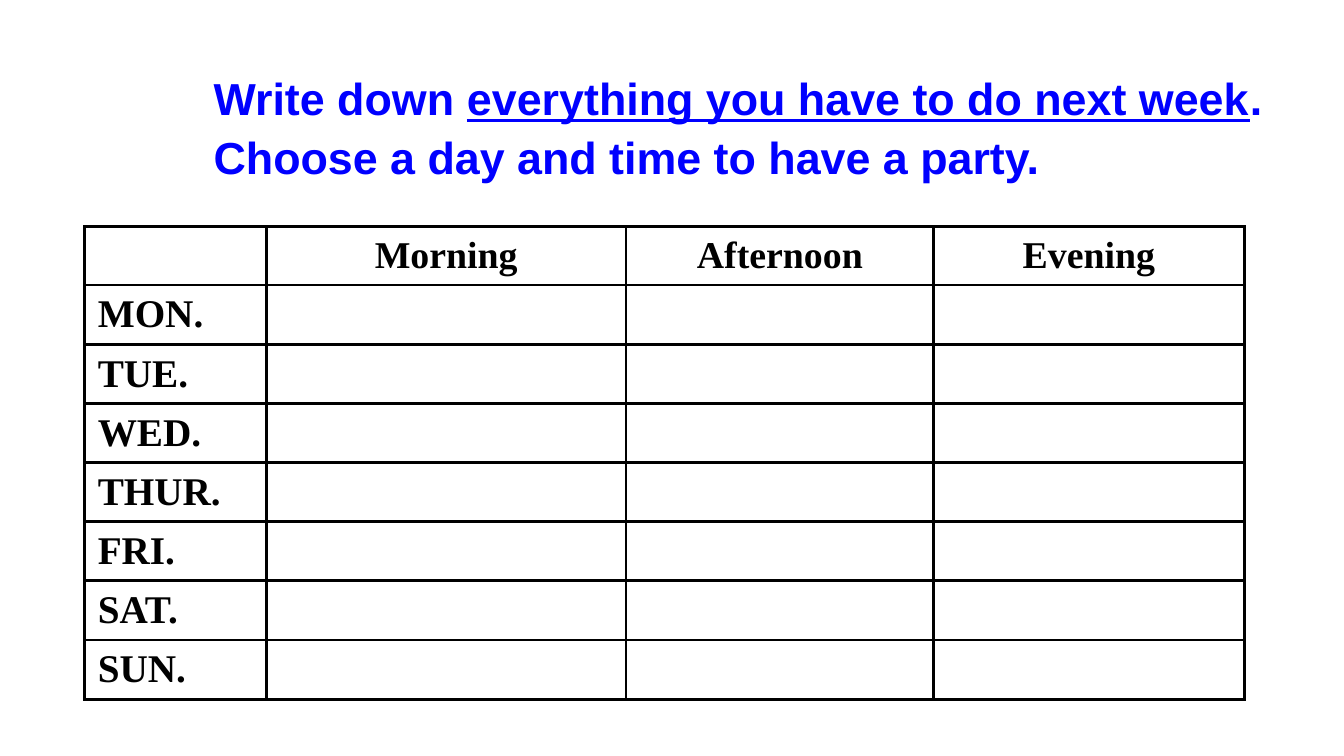
from lxml.etree import SubElement
from pptx import Presentation
from pptx.dml.color import RGBColor
from pptx.enum.text import MSO_ANCHOR, PP_ALIGN
from pptx.oxml.ns import qn
from pptx.util import Inches, Pt

TITLE = [
    ("Write down ", False),
    ("everything you have to do next week", True),
    (". Choose a day and time to have a party.", False),
]
TIMES = ["", "Morning", "Afternoon", "Evening"]
DAYS = ["MON.", "TUE.", "WED.", "THUR.", "FRI.", "SAT.", "SUN."]
COLUMN_WIDTHS = [1.8, 3.57, 3.05, 3.08]
TABLE_LEFT, TABLE_TOP, TABLE_HEIGHT = 0.84, 2.25, 4.62
BLUE, BLACK = "0000FF", "000000"


def color(value):
    return RGBColor.from_string(value)


def add_text(para, text, font, size, fill, underline=False):
    span = para.add_run()
    span.text = text
    span.font.name = font
    span.font.size = Pt(size)
    span.font.bold = True
    span.font.underline = underline
    span.font.color.rgb = color(fill)


def add_borders(cell, fill, width):
    properties = cell._tc.get_or_add_tcPr()
    for side in ("a:lnL", "a:lnR", "a:lnT", "a:lnB"):
        line = SubElement(properties, qn(side), w=str(Pt(width)))
        solid = SubElement(line, qn("a:solidFill"))
        SubElement(solid, qn("a:srgbClr"), val=fill)


def add_title(page):
    box = page.shapes.add_textbox(Inches(2.02), Inches(0.51), Inches(10.86), Inches(1.45))
    frame = box.text_frame
    frame.word_wrap = True
    frame.vertical_anchor = MSO_ANCHOR.MIDDLE
    para = frame.paragraphs[0]
    para.line_spacing = 1.1
    for text, underline in TITLE:
        add_text(para, text, "Arial", 32, BLUE, underline=underline)


def add_planner(page):
    rows = [TIMES] + [[day] + [""] * (len(TIMES) - 1) for day in DAYS]
    table = page.shapes.add_table(
        len(rows), len(TIMES), Inches(TABLE_LEFT), Inches(TABLE_TOP),
        Inches(sum(COLUMN_WIDTHS)), Inches(TABLE_HEIGHT),
    ).table
    table.first_row = False
    table.horz_banding = False
    for column, width in zip(table.columns, COLUMN_WIDTHS):
        column.width = Inches(width)
    for row_index, row in enumerate(rows):
        table.rows[row_index].height = Inches(TABLE_HEIGHT / len(rows))
        for column_index, text in enumerate(row):
            cell = table.cell(row_index, column_index)
            add_borders(cell, BLACK, 2.25)
            cell.fill.background()
            cell.vertical_anchor = MSO_ANCHOR.MIDDLE
            cell.margin_left = cell.margin_right = Inches(0.13)
            cell.margin_top = cell.margin_bottom = Inches(0.06)
            if text:
                is_header = row_index == 0
                para = cell.text_frame.paragraphs[0]
                para.alignment = PP_ALIGN.CENTER if is_header else PP_ALIGN.LEFT
                add_text(para, text, "Times New Roman", 27 if is_header else 28, BLACK)


def main():
    deck = Presentation()
    deck.slide_width = Inches(13.33)
    deck.slide_height = Inches(7.5)
    page = deck.slides.add_slide(deck.slide_layouts[6])
    add_title(page)
    add_planner(page)
    deck.save("out.pptx")


if __name__ == "__main__":
    main()
